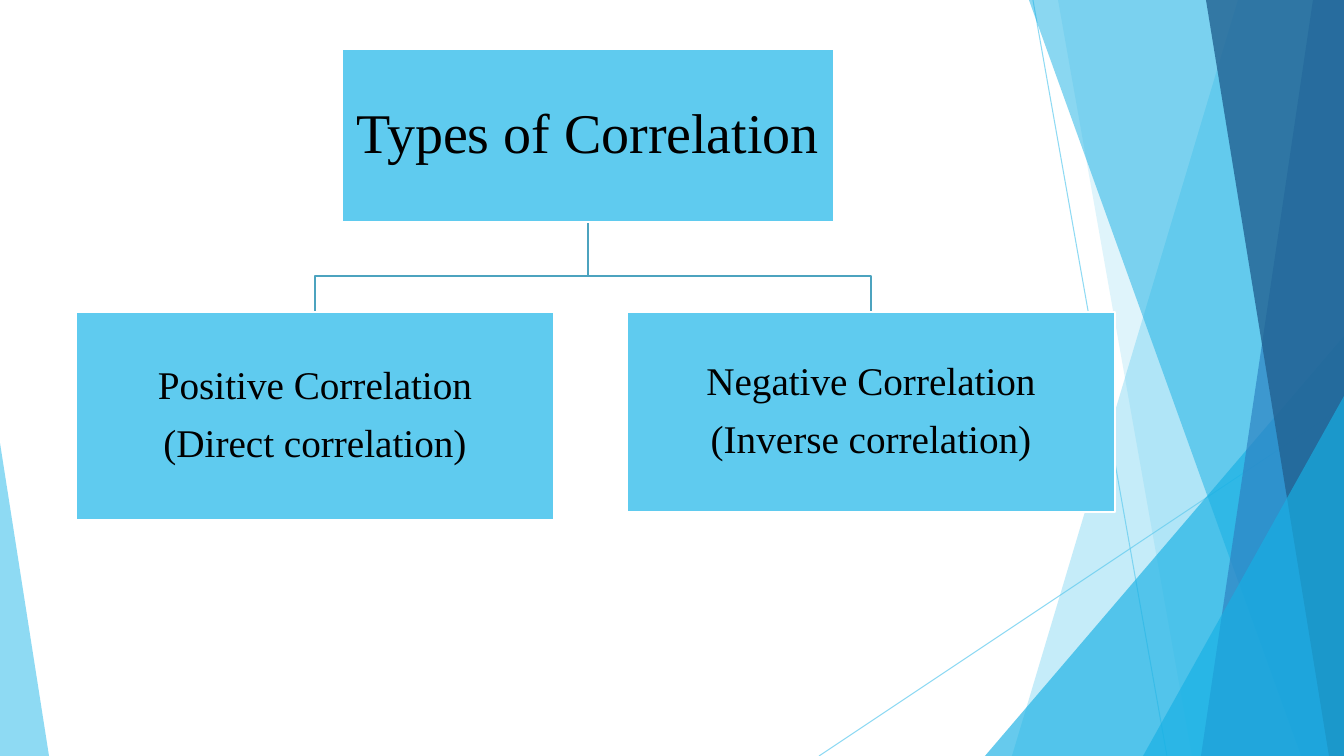
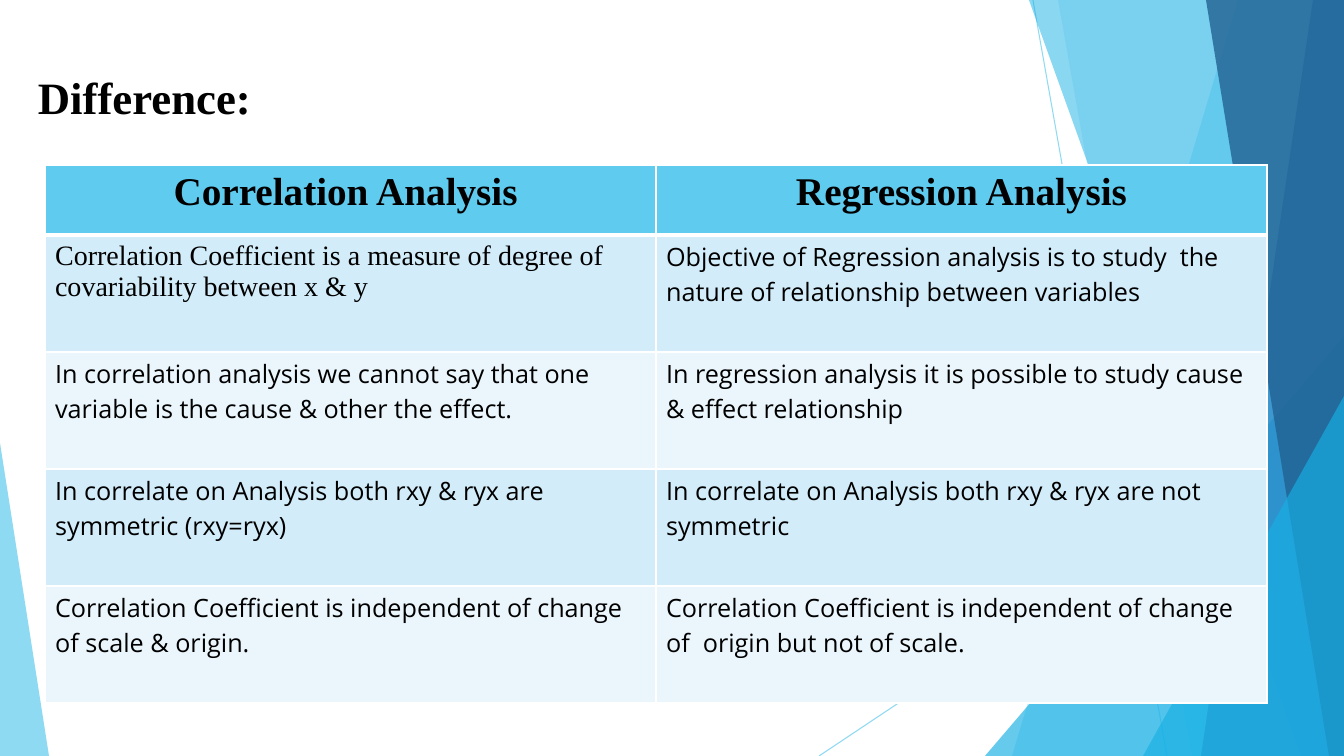
"""Build two slides on correlation: a tree of its types and a comparison table."""
from typing import NamedTuple

from lxml import etree
from pptx import Presentation
from pptx import util as u
from pptx.dml.color import RGBColor
from pptx.enum import shapes, text
from pptx.oxml import ns

PX = 914400 / 100.8
WIDTH, HEIGHT = 1344, 756
SERIF, SANS = "Times New Roman", "Open Sans"
BLACK = RGBColor(0x00, 0x00, 0x00)
WHITE = RGBColor(0xFF, 0xFF, 0xFF)
SKY = RGBColor(0x5F, 0xCB, 0xEF)
CYAN = RGBColor(0x17, 0xB0, 0xE4)
BLUE = RGBColor(0x2E, 0x83, 0xC3)
NAVY = RGBColor(0x22, 0x62, 0x92)
BRANCH = RGBColor(0x4C, 0xA3, 0xBF)
ROW_TINTS = (RGBColor(0xD2, 0xEC, 0xF9), RGBColor(0xEA, 0xF6, 0xFC))


class Ray(NamedTuple):
    start: tuple[int, int]
    end: tuple[int, int]


class Blade(NamedTuple):
    """Full-height panel that reaches the right edge of the slide."""
    top_x: int
    bottom_x: int
    color: RGBColor
    opacity: int


class Wedge(NamedTuple):
    """Right triangle that stands on the bottom edge of the slide."""
    left: int
    top: int
    width: int
    apex: int
    color: RGBColor
    opacity: int


class Node(NamedTuple):
    left: int
    top: int
    width: int
    height: int
    size: int
    inset: int
    lines: tuple[str, ...]

    @property
    def center(self) -> int:
        return self.left + self.width // 2


RAYS = (Ray((1033, 0), (1167, HEIGHT)), Ray((WIDTH, 406), (819, HEIGHT)))
BACKDROP = (
    Blade(1238, 1012, SKY, 36),
    Blade(1058, 1192, SKY, 20),
    Wedge(985, 336, 359, 1, CYAN, 66),
    Blade(1029, 1301, CYAN, 50),
    Blade(1313, 1201, BLUE, 70),
    Blade(1206, 1329, NAVY, 80),
    Wedge(1143, 396, 201, 1, CYAN, 66),
    Wedge(0, 443, 49, 0, SKY, 70),
)

ROOT = Node(342, 49, 492, 173, 40, 3, ("Types of Correlation",))
KINDS = (
    Node(76, 312, 478, 208, 28, 2, ("Positive Correlation", "(Direct correlation)")),
    Node(627, 312, 488, 200, 28, 2, ("Negative Correlation", "(Inverse correlation)")),
)
FORK_Y = 276

HEADINGS = ("Correlation Analysis ", "Regression Analysis")
DIFFERENCES = (
    ("Correlation Coefficient is a measure of degree of covariability between x & y",
     "Objective of Regression analysis is to study  the nature of relationship between variables"),
    ("In correlation analysis we cannot say that one variable is the cause & other the effect.",
     "In regression analysis it is possible to study cause & effect relationship "),
    ("In correlate on Analysis both rxy & ryx are symmetric (rxy=ryx)",
     "In correlate on Analysis both rxy & ryx are not symmetric "),
    ("Correlation Coefficient is independent of change of scale & origin.",
     "Correlation Coefficient is independent of change of  origin but not of scale."),
)


def px(*lengths: int) -> list[int]:
    """Turn pixels into EMU."""
    return [round(length * PX) for length in lengths]


def set_opacity(shape, percent: int) -> None:
    """Make every colour of the shape partly transparent."""
    for color in shape.element.spPr.iter(ns.qn("a:srgbClr")):
        etree.SubElement(color, ns.qn("a:alpha"), val=str(percent * 1000))


def paint(shape, color: RGBColor) -> None:
    """Give the shape a flat fill without shadow."""
    shape.shadow.inherit = False
    shape.fill.solid()
    shape.fill.fore_color.rgb = color


def style_text(paragraph, font_name: str, size: int, bold: bool = False) -> None:
    """Format all runs of the paragraph in black."""
    for run in paragraph.runs:
        run.font.name = font_name
        run.font.size = u.Pt(size)
        run.font.bold = bold
        run.font.color.rgb = BLACK


def outline(slide, points: list[tuple[int, int]], close: bool):
    """Draw a freeform through the points."""
    builder = slide.shapes.build_freeform(*points[0], scale=PX)
    builder.add_line_segments(points[1:], close=close)
    return builder.convert_to_shape()


def draw_ray(slide, ray: Ray) -> None:
    """Draw one thin line of the backdrop."""
    line = slide.shapes.add_connector(
        shapes.MSO_CONNECTOR.STRAIGHT, *px(*ray.start), *px(*ray.end))
    line.line.color.rgb = SKY
    line.line.width = u.Pt(0.75)
    etree.SubElement(line.element.spPr, ns.qn("a:effectLst"))
    set_opacity(line, 70)


def draw_facet(slide, facet: Blade | Wedge) -> None:
    """Draw one translucent panel of the backdrop."""
    if isinstance(facet, Blade):
        panel = outline(slide, [(facet.top_x, 0), (WIDTH, 0), (WIDTH, HEIGHT),
                                (facet.bottom_x, HEIGHT)], close=True)
    else:
        panel = slide.shapes.add_shape(
            shapes.MSO_SHAPE.ISOSCELES_TRIANGLE,
            *px(facet.left, facet.top, facet.width, HEIGHT - facet.top))
        panel.adjustments[0] = facet.apex
    paint(panel, facet.color)
    panel.line.fill.background()
    set_opacity(panel, facet.opacity)


def add_slide(deck):
    """Add a blank slide with the shared backdrop."""
    slide = deck.slides.add_slide(deck.slide_layouts[6])
    for ray in RAYS:
        draw_ray(slide, ray)
    for facet in BACKDROP:
        draw_facet(slide, facet)
    return slide


def draw_branch(slide, parent: Node, child: Node) -> None:
    """Link a child to its parent through the fork."""
    branch = outline(slide, [(parent.center, parent.top + parent.height),
                             (parent.center, FORK_Y), (child.center, FORK_Y),
                             (child.center, child.top)], close=False)
    branch.shadow.inherit = False
    branch.fill.background()
    branch.line.color.rgb = BRANCH
    branch.line.width = u.Pt(1.5)


def draw_node(slide, node: Node) -> None:
    """Draw one box of the tree with its text."""
    box = slide.shapes.add_shape(
        shapes.MSO_SHAPE.RECTANGLE, *px(node.left, node.top, node.width, node.height))
    paint(box, SKY)
    box.line.color.rgb = WHITE
    box.line.width = u.Pt(1.5)
    frame = box.text_frame
    frame.word_wrap = True
    frame.vertical_anchor = text.MSO_ANCHOR.MIDDLE
    inset, = px(node.inset)
    frame.margin_left = frame.margin_right = inset
    frame.margin_top = frame.margin_bottom = inset
    frame.text = "\n".join(node.lines)
    for paragraph in frame.paragraphs:
        paragraph.alignment = text.PP_ALIGN.CENTER
        paragraph.line_spacing = 0.9
        paragraph.space_after = u.Pt(0.4 * node.size)
        style_text(paragraph, SERIF, node.size)


def draw_title(slide, title: str) -> None:
    """Write the slide title."""
    box = slide.shapes.add_textbox(*px(28, 65, 1257, 65))
    frame = box.text_frame
    frame.word_wrap = True
    frame.auto_size = text.MSO_AUTO_SIZE.SHAPE_TO_FIT_TEXT
    frame.text = title
    style_text(frame.paragraphs[0], SERIF, 32, bold=True)


def style_cell(cell, row: int) -> None:
    """Give a cell white borders and the fill of its row."""
    properties = cell._tc.get_or_add_tcPr()
    widths = {"lnL": 1, "lnR": 1, "lnT": 3 if row == 1 else 1, "lnB": 3 if row == 0 else 1}
    for side, width in widths.items():
        border = etree.SubElement(properties, ns.qn(f"a:{side}"), w=str(u.Pt(width)))
        solid = etree.SubElement(border, ns.qn("a:solidFill"))
        etree.SubElement(solid, ns.qn("a:srgbClr"), val=str(WHITE))
    cell.fill.solid()
    cell.fill.fore_color.rgb = ROW_TINTS[(row - 1) % 2] if row else SKY


def draw_comparison(slide) -> None:
    """Draw the table of differences."""
    entries = (HEADINGS, *DIFFERENCES)
    table = slide.shapes.add_table(
        len(entries), len(HEADINGS), *px(45, 165, 1222, 538)).table
    table.first_row = table.horz_banding = False
    for column in table.columns:
        column.width, = px(611)
    for row, wording in enumerate(entries):
        table.rows[row].height, = px(117 if row else 70)
        for column, words in enumerate(wording):
            cell = table.cell(row, column)
            style_cell(cell, row)
            cell.text_frame.text = words
            paragraph = cell.text_frame.paragraphs[0]
            if row == 0:
                paragraph.alignment = text.PP_ALIGN.CENTER
                style_text(paragraph, SERIF, 28, bold=True)
            elif (row, column) == (1, 0):
                style_text(paragraph, SERIF, 20)
            else:
                style_text(paragraph, SANS, 18)


def main() -> None:
    """Build and save the deck."""
    deck = Presentation()
    deck.slide_width, deck.slide_height = px(WIDTH, HEIGHT)

    types_slide = add_slide(deck)
    for kind in reversed(KINDS):
        draw_branch(types_slide, ROOT, kind)
    for node in (ROOT, *KINDS):
        draw_node(types_slide, node)

    difference_slide = add_slide(deck)
    draw_comparison(difference_slide)
    draw_title(difference_slide, "Difference:")

    deck.save("out.pptx")


main()
